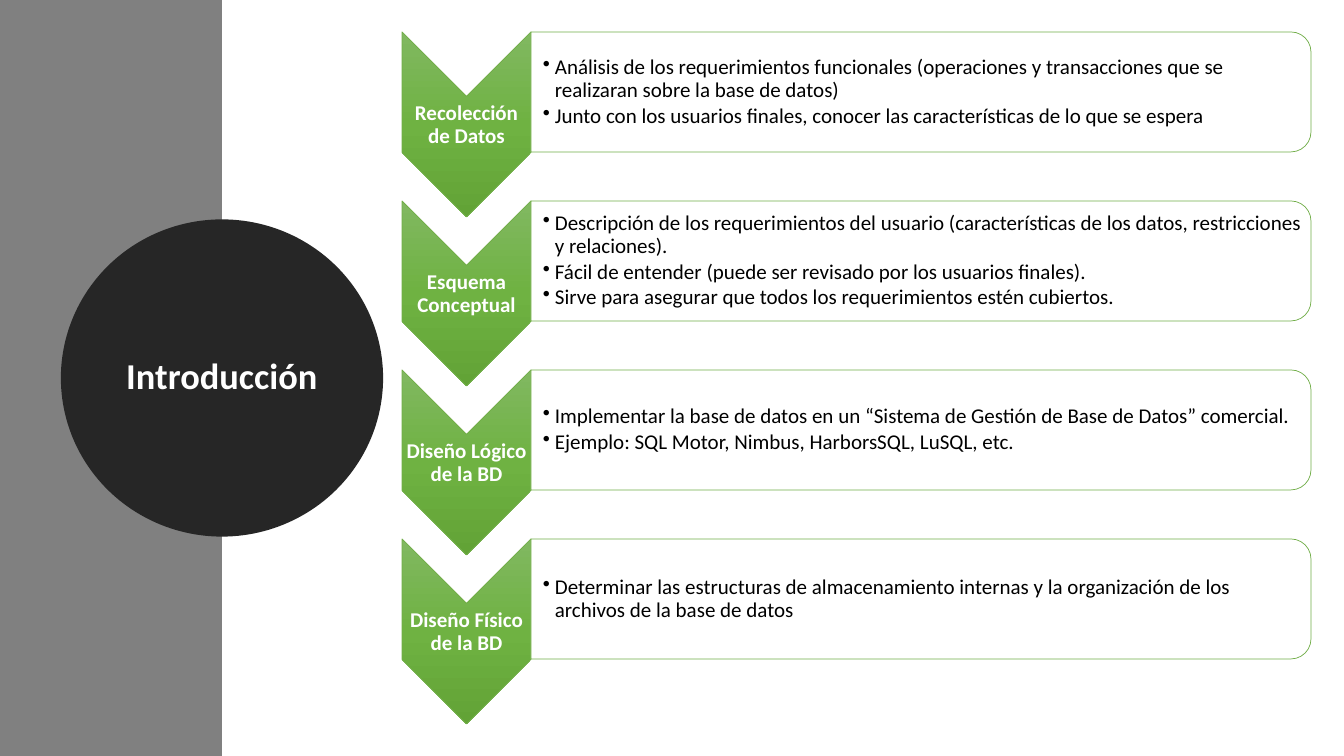
import pptx
import pptx.util
import pptx.dml.color
import pptx.enum.shapes
import pptx.enum.text
import pptx.oxml
import pptx.oxml.ns
from lxml import etree

RGBColor = pptx.dml.color.RGBColor
SHAPE = pptx.enum.shapes.MSO_SHAPE
MIDDLE = pptx.enum.text.MSO_ANCHOR.MIDDLE
CENTER = pptx.enum.text.PP_ALIGN.CENTER
LEFT = pptx.enum.text.PP_ALIGN.LEFT
Pt = pptx.util.Pt

PX_PER_INCH = 100.8
WIDTH, HEIGHT = 1344, 756
FONT = "Calibri"
WHITE = RGBColor(0xFF, 0xFF, 0xFF)
BLACK = RGBColor(0x00, 0x00, 0x00)
GRAY = RGBColor(0x80, 0x80, 0x80)
DARK = RGBColor(0x26, 0x26, 0x26)
GREEN = RGBColor(0x70, 0xAD, 0x47)
GREEN_STOPS = [
    (0, RGBColor(0x81, 0xB8, 0x61)),
    (50, RGBColor(0x6F, 0xB2, 0x42)),
    (100, RGBColor(0x62, 0xA3, 0x36)),
]

STAGES = [
    ("Recolección de Datos", [
        "Análisis de los requerimientos funcionales (operaciones y transacciones que se realizaran sobre la base de datos)",
        "Junto con los usuarios finales, conocer las características de lo que se espera",
    ]),
    ("Esquema Conceptual", [
        "Descripción de los requerimientos del usuario (características de los datos, restricciones y relaciones).",
        "Fácil de entender (puede ser revisado por los usuarios finales).",
        "Sirve para asegurar que todos los requerimientos estén cubiertos.",
    ]),
    ("Diseño Lógico de la BD", [
        "Implementar la base de datos en un “Sistema de Gestión de Base de Datos” comercial.",
        "Ejemplo: SQL Motor, Nimbus, HarborsSQL, LuSQL, etc.",
    ]),
    ("Diseño Físico de la BD", [
        "Determinar las estructuras de almacenamiento internas y la organización de los archivos de la base de datos",
    ]),
]


def px(length):
    return pptx.util.Emu(round(length * 914400 / PX_PER_INCH))


def add_shape(slide, kind, left, top, width, height, fill, line=None, line_width=0.5):
    shape = slide.shapes.add_shape(kind, px(left), px(top), px(width), px(height))
    shape.shadow.inherit = False
    shape.fill.solid()
    shape.fill.fore_color.rgb = fill
    if line is None:
        shape.line.fill.background()
    else:
        shape.line.color.rgb = line
        shape.line.width = Pt(line_width)
    return shape


def add_turned_shape(slide, kind, left, top, width, height, fill):
    shape = add_shape(slide, kind, left + (width - height) / 2, top + (height - width) / 2,
                      height, width, fill, GREEN)
    shape.rotation = 90
    return shape


def set_vertical_gradient(shape):
    solid = shape._element.spPr.find(pptx.oxml.ns.qn("a:solidFill"))
    stops = "".join(
        f'<a:gs pos="{position * 1000}"><a:srgbClr val="{color}"/></a:gs>'
        for position, color in GREEN_STOPS)
    gradient = pptx.oxml.parse_xml(
        f'<a:gradFill {pptx.oxml.ns.nsdecls("a")} rotWithShape="0"><a:gsLst>{stops}</a:gsLst>'
        '<a:lin ang="5400000" scaled="0"/></a:gradFill>')
    solid.getparent().replace(solid, gradient)


def set_opacity(shape, percent):
    color = shape._element.spPr.find(pptx.oxml.ns.qn("a:solidFill"))[0]
    etree.SubElement(color, pptx.oxml.ns.qn("a:alpha")).set("val", str(percent * 1000))


def set_bullet(paragraph, indent):
    properties = paragraph._p.get_or_add_pPr()
    properties.set("marL", str(px(indent)))
    properties.set("indent", str(-px(indent)))
    bullet = etree.SubElement(properties, pptx.oxml.ns.qn("a:buChar"))
    bullet.set("char", "•")


def write_lines(frame, lines, size, color, bold, alignment, space_after):
    frame.word_wrap = True
    frame.vertical_anchor = MIDDLE
    for index, line in enumerate(lines):
        paragraph = frame.paragraphs[0] if index == 0 else frame.add_paragraph()
        paragraph.text = line
        paragraph.alignment = alignment
        paragraph.line_spacing = 0.9
        paragraph.space_after = Pt(space_after)
        paragraph.font.name = FONT
        paragraph.font.size = Pt(size)
        paragraph.font.bold = bold
        paragraph.font.color.rgb = color


def add_text(slide, left, top, width, height, left_inset):
    frame = slide.shapes.add_textbox(px(left), px(top), px(width), px(height)).text_frame
    frame.margin_left = px(left_inset)
    frame.margin_top = frame.margin_right = frame.margin_bottom = px(1)
    return frame


def add_title_panel(slide, left, top, width, height):
    add_shape(slide, SHAPE.RECTANGLE, left, top, width, height, GRAY)
    diameter_x, diameter_y = 303, 298
    circle = add_shape(slide, SHAPE.OVAL, left + width - diameter_x / 2,
                       top + (height - diameter_y) / 2, diameter_x, diameter_y,
                       DARK, DARK, 13.75)
    write_lines(circle.text_frame, ["Introducción"], 26, WHITE, True, CENTER, 6)


def add_stage(slide, left, top, width, height, name, points):
    arrow_width, card_height = 129, 120
    card_left, card_width = left + arrow_width, width - arrow_width

    arrow = add_turned_shape(slide, SHAPE.CHEVRON, left, top, arrow_width, height, WHITE)
    set_vertical_gradient(arrow)
    label = add_text(slide, left, top + 65, arrow_width, 56, 1)
    write_lines(label, [name], 15, WHITE, True, CENTER, 5.25)

    card = add_turned_shape(slide, SHAPE.ROUND_2_SAME_RECTANGLE, card_left, top,
                            card_width, card_height, WHITE)
    set_opacity(card, 90)
    body = add_text(slide, card_left, top + 6, card_width - 6, card_height - 12, 12)
    write_lines(body, points, 15, BLACK, False, LEFT, 2.25)
    for paragraph in body.paragraphs:
        set_bullet(paragraph, 12)


def add_stages(slide, left, top, width, pitch):
    for index, (name, points) in enumerate(STAGES):
        add_stage(slide, left, top + index * pitch, width, 185, name, points)


def main():
    presentation = pptx.Presentation()
    presentation.slide_width, presentation.slide_height = px(WIDTH), px(HEIGHT)
    slide = presentation.slides.add_slide(presentation.slide_layouts[6])
    add_title_panel(slide, 0, 0, 222, HEIGHT)
    add_stages(slide, 402, 32, 909, 169)
    presentation.save("out.pptx")


if __name__ == "__main__":
    main()
